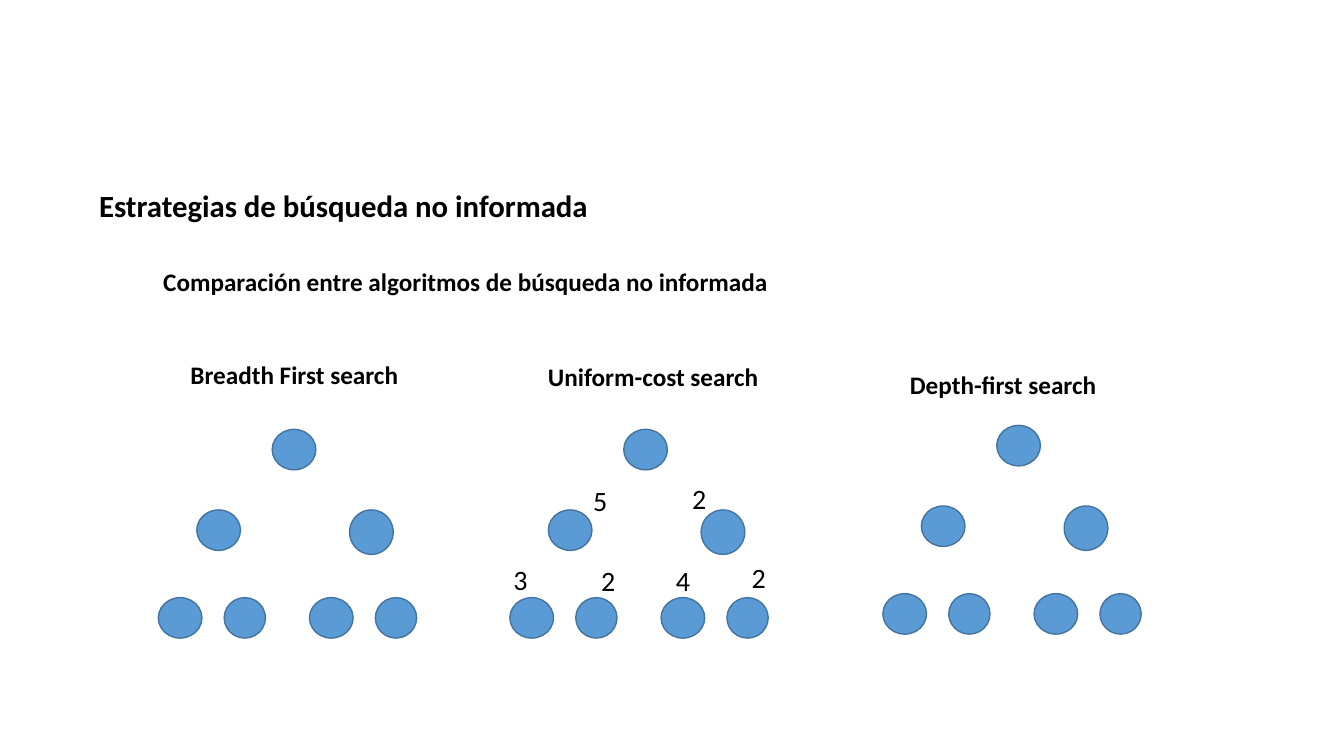
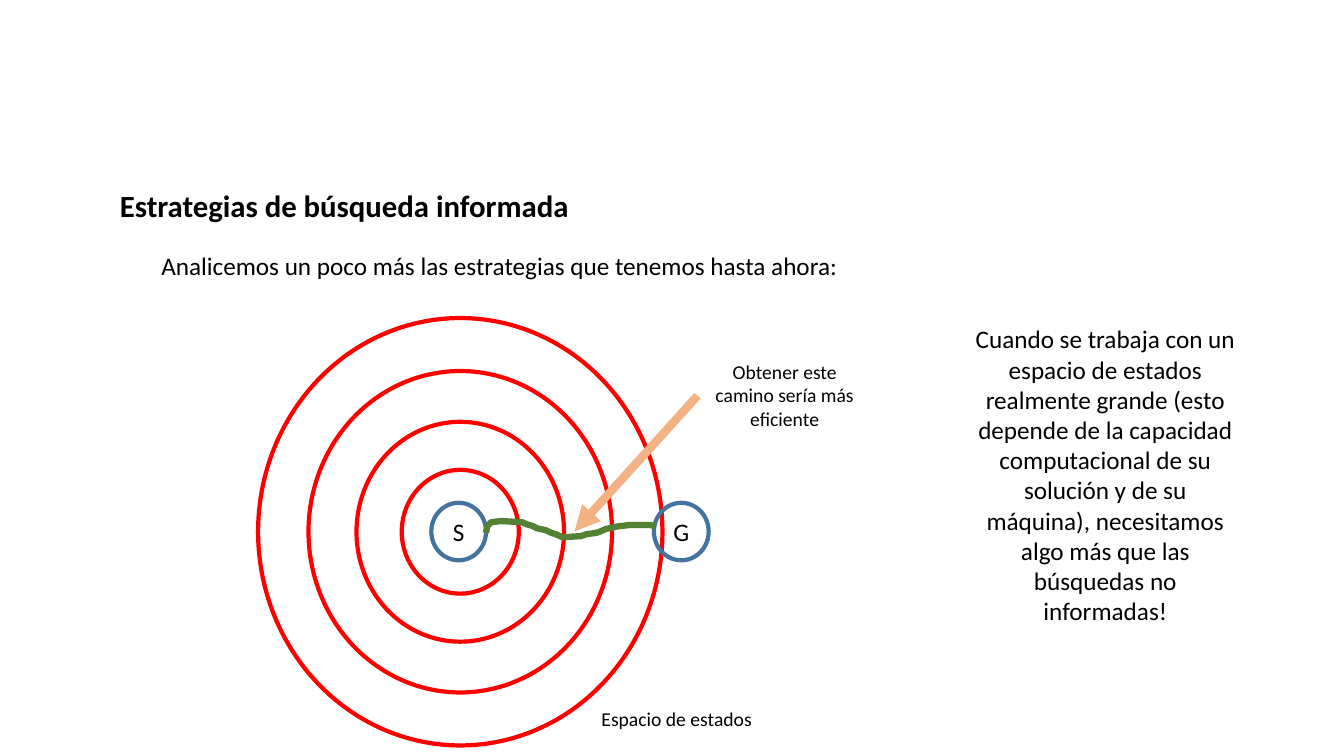
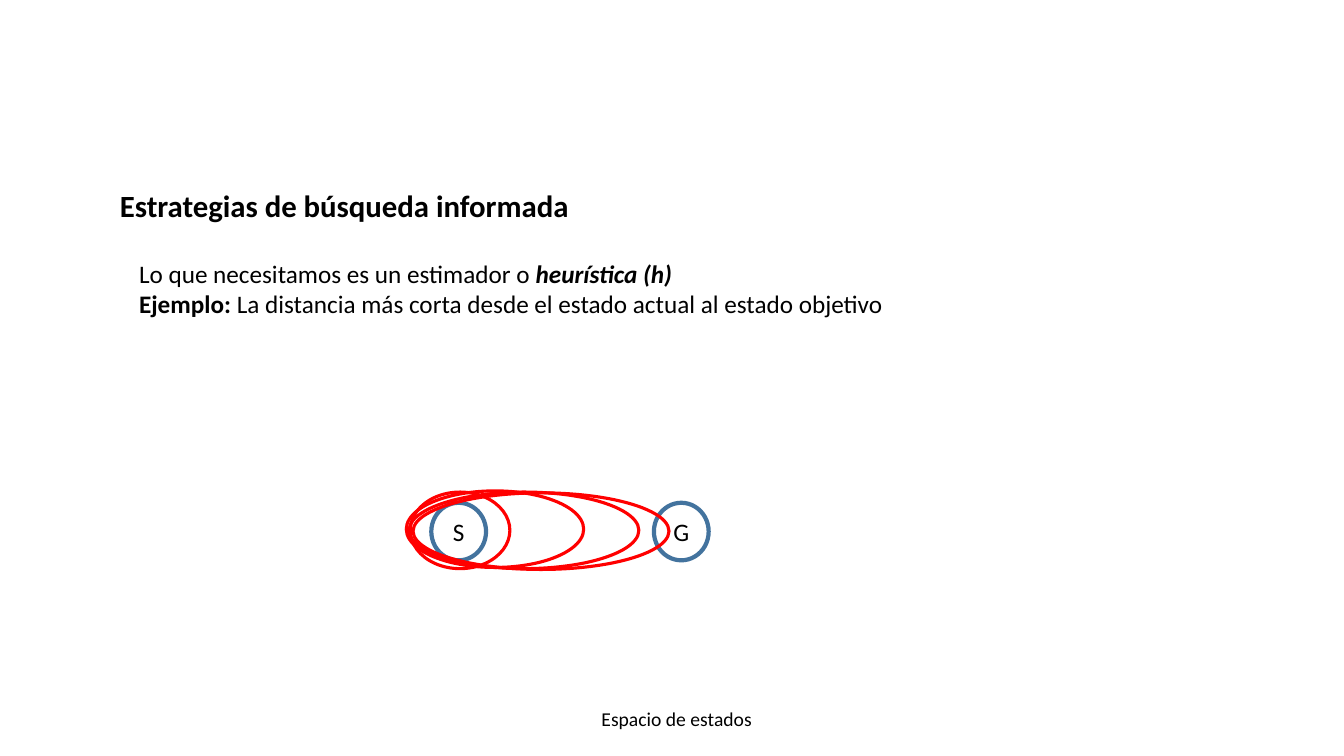
from lxml.etree import SubElement
from pptx import Presentation
from pptx.dml.color import RGBColor
from pptx.enum.shapes import MSO_CONNECTOR, MSO_SHAPE
from pptx.enum.text import MSO_ANCHOR, MSO_AUTO_SIZE, PP_ALIGN
from pptx.oxml.ns import qn
from pptx.util import Cm, Pt

FONT = "Calibri"
BLACK = "000000"
NODE_BLUE = "5B9BD5"
EDGE_BLUE = "43739E"
RED = "FF0000"
GREEN = "548235"
PEACH = "F4B183"

NODE_W, NODE_H = 1.1, 1.02
LEAF_Y = 4.24
STATE_W, STATE_H = 1.38, 1.45
START_X, GOAL_X, STATES_Y = 10.87, 16.48, 12.67
UNINFORMED = "Estrategias de búsqueda no informada"
INFORMED = "Estrategias de búsqueda informada"

ROUTE = [
    (0, 0.3), (0.03, 0.13), (0.13, 0.03), (0.38, 0), (0.91, 0.03), (1.02, 0.08),
    (1.19, 0.13), (1.27, 0.18), (1.5, 0.23), (1.65, 0.3), (1.75, 0.33),
    (1.93, 0.41), (2.39, 0.38), (2.54, 0.33), (2.77, 0.3), (2.84, 0.28),
    (3.02, 0.2), (3.25, 0.15), (3.35, 0.13), (3.63, 0.1), (4.14, 0.1), (4.27, 0.13),
]


def color(hex_code):
    """Turn a hex string into a colour."""
    return RGBColor.from_string(hex_code)


def lengths(box):
    """Turn a box in centimetres into lengths."""
    return [Cm(value) for value in box]


def write(frame, content, size=18, bold=False, italic=False, align=PP_ALIGN.LEFT,
          anchor=MSO_ANCHOR.TOP):
    """Fill a frame with a string or with paragraphs of (text, format) runs."""
    frame.word_wrap = True
    frame.auto_size = MSO_AUTO_SIZE.NONE
    frame.vertical_anchor = anchor
    paragraphs = [[(content, {})]] if isinstance(content, str) else content
    for index, runs in enumerate(paragraphs):
        paragraph = frame.add_paragraph() if index else frame.paragraphs[0]
        paragraph.alignment = align
        paragraph.space_before = Pt(0)
        for words, changes in runs:
            run = paragraph.add_run()
            run.text = words
            run.font.name = FONT
            run.font.size = Pt(size)
            run.font.bold = changes.get("bold", bold)
            run.font.italic = changes.get("italic", italic)
            run.font.color.rgb = color(BLACK)


def label(slide, box, content, **style):
    """Place a text box."""
    caption = slide.shapes.add_textbox(*lengths(box))
    write(caption.text_frame, content, **style)
    return caption


def ellipse(slide, box, line, weight, fill=None):
    """Place an ellipse, hollow unless a fill is given."""
    oval = slide.shapes.add_shape(MSO_SHAPE.OVAL, *lengths(box))
    oval.shadow.inherit = False
    if fill:
        oval.fill.solid()
        oval.fill.fore_color.rgb = color(fill)
    else:
        oval.fill.background()
    oval.line.color.rgb = color(line)
    oval.line.width = Pt(weight)
    return oval


def place(placeholder, box):
    """Move a placeholder to a box."""
    placeholder.left, placeholder.top, placeholder.width, placeholder.height = lengths(box)


def add_slide(deck, title, title_box, intro, intro_box, **style):
    """Add a slide with its title and unbulleted introduction."""
    slide = deck.slides.add_slide(deck.slide_layouts[1])
    heading, body = slide.placeholders
    place(heading, title_box)
    write(heading.text_frame, title, size=22, bold=True, align=PP_ALIGN.CENTER)
    place(body, intro_box)
    write(body.text_frame, intro, **style)
    for paragraph in body.text_frame.paragraphs:
        properties = paragraph._p.get_or_add_pPr()
        properties.set("marL", "0")
        properties.set("indent", "0")
        SubElement(properties, qn("a:buNone"))
    return slide


def informed_slide(deck, intro, intro_box, **style):
    """Add a slide on informed search."""
    return add_slide(deck, INFORMED, (2.49, 4.57, 12.37, 1.19), intro, intro_box, **style)


def search_tree(slide, left, top, name, name_offset, right_child=1.95, costs=()):
    """Draw a named tree of seven nodes relative to its root's corner."""
    dx, dy = name_offset
    label(slide, (left + dx, top + dy, 6.2, 1.02), name, bold=True)
    nodes = [
        (0, 0, NODE_W, NODE_H),
        (-1.9, 2.03, NODE_W, NODE_H),
        (right_child, 2.03, NODE_W, 1.12),
    ]
    for pair_x in (-2.87, 0.94):
        nodes.append((pair_x, LEAF_Y, NODE_W, NODE_H))
        nodes.append((pair_x + 1.66, LEAF_Y, 1.04, NODE_H))
    for x, y, width, height in nodes:
        ellipse(slide, (left + x, top + y, width, height), EDGE_BLUE, 1, NODE_BLUE)
    for cost, x, y in costs:
        label(slide, (left + x, top + y, 2.62, 1.12), cost, size=20, align=PP_ALIGN.CENTER)


def state_space(slide):
    """Draw the start and goal states and the caption of their space."""
    for name, left in (("S", START_X), ("G", GOAL_X)):
        state = ellipse(slide, (left, STATES_Y, STATE_W, STATE_H), EDGE_BLUE, 3)
        frame = state.text_frame
        frame.margin_left = frame.margin_right = frame.margin_top = frame.margin_bottom = 0
        write(frame, name, align=PP_ALIGN.CENTER, anchor=MSO_ANCHOR.MIDDLE)
    label(slide, (14.86, 17.68, 4.39, 0.86), "Espacio de estados", size=14,
          align=PP_ALIGN.CENTER)


def rings(slide, center_x, center_y):
    """Draw the growing search frontiers around the start."""
    for width, height in ((10.19, 10.77), (7.65, 8.1), (5.23, 5.54), (2.95, 3.12)):
        box = (center_x - width / 2, center_y - height / 2, width, height)
        ellipse(slide, box, RED, 3)


def route(slide, left, top):
    """Draw the winding path from start to goal."""
    points = [(Cm(left + x), Cm(top + y)) for x, y in ROUTE]
    builder = slide.shapes.build_freeform(*points[0])
    builder.add_line_segments(points[1:], close=False)
    path_line = builder.convert_to_shape()
    path_line.shadow.inherit = False
    path_line.fill.background()
    path_line.line.color.rgb = color(GREEN)
    path_line.line.width = Pt(4.5)


def pointing_note(slide, box, words, tip):
    """Place a note with an arrow from its left side to a tip."""
    note = label(slide, box, words, size=14, align=PP_ALIGN.CENTER)
    arrow = slide.shapes.add_connector(
        MSO_CONNECTOR.STRAIGHT, note.left, note.top + note.height // 2, *lengths(tip))
    arrow.begin_connect(note, 1)
    arrow.line.color.rgb = color(PEACH)
    arrow.line.width = Pt(6)
    SubElement(arrow.line._get_or_add_ln(), qn("a:tailEnd"), type="triangle")
    SubElement(arrow._element.spPr, qn("a:effectLst"))


def comparison_slide(deck):
    """Compare three uninformed searches."""
    slide = add_slide(
        deck, UNINFORMED, (2.18, 4.57, 12.95, 1.19),
        "Comparación entre algoritmos de búsqueda no informada",
        (3.86, 6.58, 20.6, 1.02), bold=True)
    costs = [("5", -1.9, 1.25), ("2", 0.59, 1.19), ("3", -3.91, 3.23),
             ("2", -1.7, 3.25), ("4", 0.18, 3.25), ("2", 2.09, 3.18)]
    search_tree(slide, 6.86, 10.82, "Breadth First search", (-2.31, -1.9))
    search_tree(slide, 15.72, 10.82, "Uniform-cost search", (-2.16, -1.83), costs=costs)
    search_tree(slide, 25.12, 10.72, "Depth-first search", (-2.44, -1.53), right_child=1.7)


def analysis_slide(deck):
    """Show how uninformed search spreads through the state space."""
    slide = informed_slide(
        deck, "Analicemos un poco más las estrategias que tenemos hasta ahora:",
        (2.49, 6.17, 20.19, 1.02), align=PP_ALIGN.CENTER)
    rings(slide, 11.6, 13.4)
    state_space(slide)
    route(slide, START_X + STATE_W, 13.13)
    pointing_note(slide, (17.58, 8.94, 4.39, 2.06),
                  "Obtener este camino sería más eficiente", (14.48, 13.39))
    label(slide, (24.31, 8.03, 7.09, 7.95),
          "Cuando se trabaja con un espacio de estados realmente grande (esto depende "
          "de la capacidad computacional de su solución y de su máquina), necesitamos "
          "algo más que las búsquedas no informadas!", align=PP_ALIGN.CENTER)


def heuristic_slide(deck):
    """Show how a heuristic stretches the search towards the goal."""
    intro = [
        [("Lo que necesitamos es un estimador o ", {}),
         ("heurística (h)", {"bold": True, "italic": True})],
        [("Ejemplo: ", {"bold": True}),
         ("La distancia más corta desde el estado actual al estado objetivo", {})],
    ]
    slide = informed_slide(deck, intro, (3.25, 6.38, 20.19, 1.8))
    state_space(slide)
    for left, top, width in ((10.24, 12.37, 4.47), (10.34, 12.4, 2.51),
                             (10.31, 12.4, 5.79), (10.41, 12.42, 6.45)):
        ellipse(slide, (left, top, width, 1.93), RED, 2.25)


def main():
    """Build and save the deck."""
    deck = Presentation()
    deck.slide_width, deck.slide_height = Cm(33.87), Cm(19.05)
    comparison_slide(deck)
    analysis_slide(deck)
    heuristic_slide(deck)
    deck.save("out.pptx")


if __name__ == "__main__":
    main()
